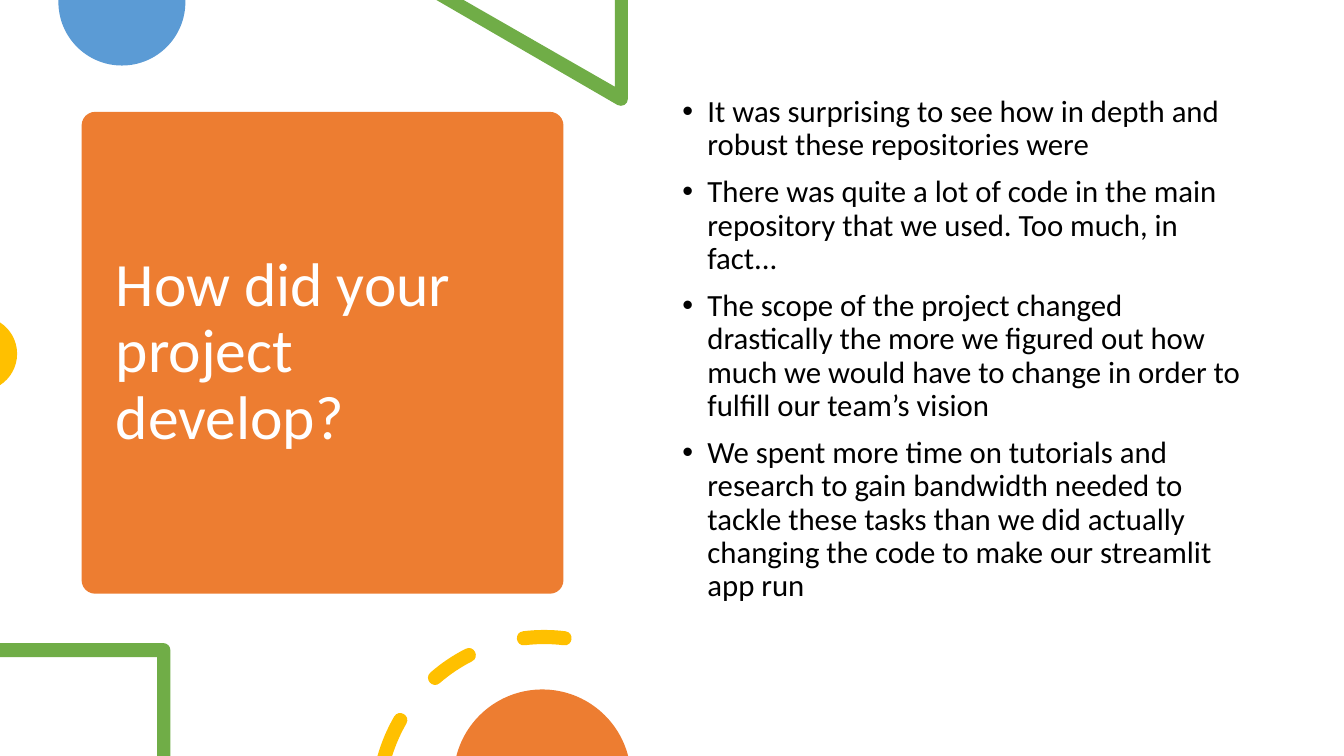
import math

import lxml.etree
import pptx
import pptx.dml.color
import pptx.enum.shapes
import pptx.enum.text
import pptx.oxml.ns
import pptx.util
from pptx.util import Inches

COLORS = {"orange": "ED7D31", "blue": "5B9BD5", "green": "70AD47",
          "yellow": "FFC000", "white": "FFFFFF", "black": "000000"}
FONT = "Calibri"
PAGE_WIDTH, PAGE_HEIGHT = 40 / 3, 7.5
TITLE = "How did your project develop?"
POINTS = [
    "It was surprising to see how in depth and robust these repositories were",
    "There was quite a lot of code in the main repository that we used. "
    "Too much, in fact...",
    "The scope of the project changed drastically the more we figured out how "
    "much we would have to change in order to fulfill our team\u2019s vision",
    "We spent more time on tutorials and research to gain bandwidth needed to "
    "tackle these tasks than we did actually changing the code to make our "
    "streamlit app run",
]


def rgb(name):
    """Return the named colour."""
    return pptx.dml.color.RGBColor.from_string(COLORS[name])


def paint(shape, color):
    """Give a shape a flat fill without line or shadow."""
    shape.shadow.inherit = False
    shape.fill.solid()
    shape.fill.fore_color.rgb = rgb(color)
    shape.line.fill.background()


def arc(center, radius, start, end, pieces=1):
    """Return a start point and Bezier curves, in degrees clockwise from the right."""
    def spot(angle, pull=0):
        return (center[0] + radius * (math.cos(angle) - pull * math.sin(angle)),
                center[1] + radius * (math.sin(angle) + pull * math.cos(angle)))

    first, sweep = math.radians(start), math.radians(end - start) / pieces
    pull = 4 / 3 * math.tan(sweep / 4)
    nodes = [first + sweep * index for index in range(pieces + 1)]
    return [spot(first)] + [spot(here, pull) + spot(there, -pull) + spot(there)
                            for here, there in zip(nodes, nodes[1:])]


def arc_dash(center, radius, half_width, start, end):
    """Return a round-capped arc dash; without a start it is cut at the page bottom."""
    def begin(distance):
        if start is not None:
            return start
        return 180 + math.degrees(math.asin((center[1] - PAGE_HEIGHT) / distance))

    outer, inner = radius + half_width, radius - half_width
    last = arc(center, radius, end, end)[0]
    dash = (arc(center, outer, begin(outer), end)
            + arc(last, half_width, end, end + 180)[1:]
            + arc(center, inner, end, begin(inner))[1:])
    if start is not None:
        dash += arc(arc(center, radius, start, start)[0],
                    half_width, start + 180, start + 360)[1:]
    return dash


def add_outline(page, color, *contours):
    """Draw closed contours of line points and Bezier curves as one freeform."""
    builder = None
    for contour in contours:
        points = [(Inches(x), Inches(y)) for step in contour
                  for x, y in zip(step[::2], step[1::2])]
        if builder is None:
            builder = page.shapes.build_freeform(*points[0], scale=1.0)
        else:
            builder.move_to(*points[0])
        builder.add_line_segments(points[1:], close=True)
    shape = builder.convert_to_shape()
    bend_segments(shape, contours)
    paint(shape, color)


def bend_segments(shape, contours):
    """Merge the line triples that stand for Bezier curves."""
    segments = iter(list(shape._element.find(".//" + pptx.oxml.ns.qn("a:path"))))
    for contour in contours:
        for step in contour:
            segment = next(segments)
            if len(step) == 6:
                curve = lxml.etree.Element(pptx.oxml.ns.qn("a:cubicBezTo"))
                segment.addprevious(curve)
                for part in (segment, next(segments), next(segments)):
                    curve.append(part[0])
                    part.getparent().remove(part)
        next(segments)


def add_card(page, left, top, size):
    """Draw the rounded square behind the title."""
    card = page.shapes.add_shape(
        pptx.enum.shapes.MSO_SHAPE.ROUNDED_RECTANGLE,
        Inches(left), Inches(top), Inches(size), Inches(size))
    card.adjustments[0] = 0.028
    paint(card, "orange")


def add_bullet(para):
    """Give a paragraph a hanging round bullet."""
    properties = para._p.get_or_add_pPr()
    properties.set("marL", str(Inches(0.25)))
    properties.set("indent", str(Inches(-0.25)))
    for tag, name, value in (("a:buFont", "typeface", "Arial"),
                             ("a:buChar", "char", "\u2022")):
        mark = lxml.etree.Element(pptx.oxml.ns.qn(tag))
        mark.set(name, value)
        properties.find(pptx.oxml.ns.qn("a:defRPr")).addprevious(mark)


def add_text(page, bounds, texts, size, color, anchor, bulleted=False):
    """Add a wrapped text box with one paragraph for each text."""
    box = page.shapes.add_textbox(*map(Inches, bounds))
    frame = box.text_frame
    frame.word_wrap = True
    frame.vertical_anchor = anchor
    for index, text in enumerate(texts):
        para = frame.add_paragraph() if index else frame.paragraphs[0]
        para.text = text
        para.line_spacing = 0.9
        para.font.name = FONT
        para.font.size = pptx.util.Pt(size)
        para.font.color.rgb = rgb(color)
        if bulleted:
            para.space_before = pptx.util.Pt(10)
            add_bullet(para)


def add_upper_figures(page):
    """Draw the circle, triangle and dot at the top and left edges."""
    add_outline(page, "blue", [(1.84, 0), (0.58, 0)] + arc((1.21, 0.02), 0.63, 180, 0, 2))
    add_outline(page, "green", [(6.23, 0), (6.1, 0), (6.1, 0.86), (4.6, 0), (4.33, 0)]
                + arc((6.16, 0.98), 0.07, 120, 0, 2))
    add_outline(page, "yellow", arc((-0.2, 3.51), 0.37, -57.3, 57.3, 2))


def add_lower_figures(page):
    """Draw the frame, dashed ring and disc at the bottom edge."""
    add_outline(page, "green", [(0, 6.38), (0, 6.52), (1.56, 6.52), (1.56, 7.5), (1.69, 7.5)]
                + arc((1.62, 6.45), 0.07, 0, -90))
    add_outline(page, "yellow", *(arc_dash((5.4, 7.97), 1.65, 0.07, start, end)
                                  for start, end in ((None, 210), (229, 243), (263, 277))))
    add_outline(page, "orange", arc((5.38, 7.72), 0.88, 194.5, 345.5, 2))


def main():
    """Build and save the deck."""
    deck = pptx.Presentation()
    deck.slide_width, deck.slide_height = Inches(PAGE_WIDTH), Inches(PAGE_HEIGHT)
    page = deck.slides.add_slide(deck.slide_layouts[6])
    anchors = pptx.enum.text.MSO_ANCHOR
    add_card(page, 0.81, 1.11, 4.78)
    add_text(page, (1.05, 1.22, 4.31, 4.56), [TITLE], 44, "white", anchors.MIDDLE)
    add_upper_figures(page)
    add_text(page, (6.67, 0.9, 5.75, 5.35), POINTS, 22, "black", anchors.TOP, bulleted=True)
    add_lower_figures(page)
    deck.save("out.pptx")


main()
